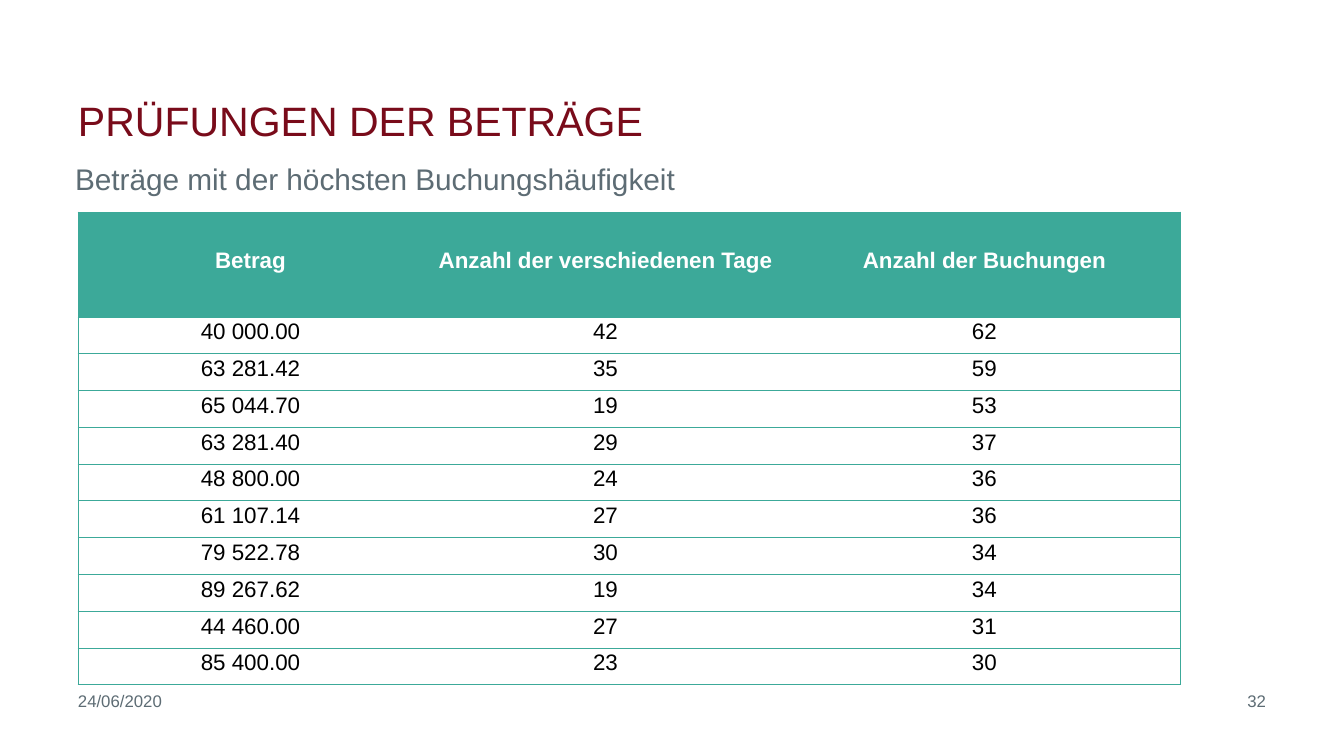
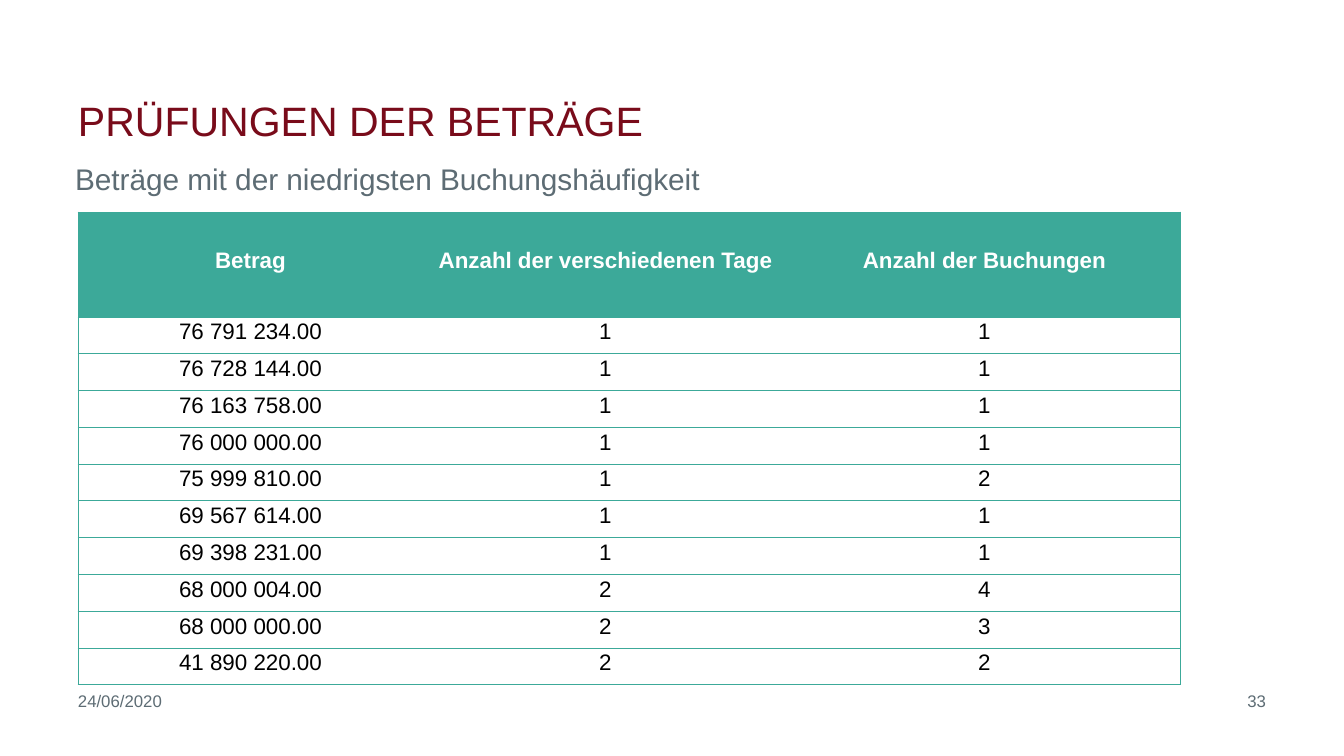
from pptx import Presentation
from pptx.dml.color import RGBColor
from pptx.enum.text import MSO_ANCHOR, MSO_AUTO_SIZE, PP_ALIGN
from pptx.oxml.ns import qn
from pptx.util import Pt
from lxml import etree

LEFT, MID, RIGHT = PP_ALIGN.LEFT, PP_ALIGN.CENTER, PP_ALIGN.RIGHT
TOP, CENTER, BOTTOM = MSO_ANCHOR.TOP, MSO_ANCHOR.MIDDLE, MSO_ANCHOR.BOTTOM
FIXED = MSO_AUTO_SIZE.NONE
FONT = "Arial"
HUES = {"title": "790B1A", "gray": "5D6C74", "teal": "3CA999",
        "white": "FFFFFF", "black": "000000"}
WIDE, HIGH = 1344, 756

TITLE_BOX = (78, 39, 922, 106)
SUB_BOX = (75, 161, 1187, 32)
TABLE_BOX = (78, 212, 1103, 473)
DATE_BOX = (78, 691, 280, 25)
PAGE_BOX = (998, 691, 268, 25)

TITLE = "PRÜFUNGEN DER BETRÄGE"
DATE = "24/06/2020"
COLS = (345, 365, 393)
HEAD_HIGH = 105
HEADS = ("Betrag", "Anzahl der verschiedenen Tage", "Anzahl der Buchungen")
PAGES = [
    (32, "Beträge mit der höchsten Buchungshäufigkeit", [
        ("40 000.00", 42, 62), ("63 281.42", 35, 59), ("65 044.70", 19, 53),
        ("63 281.40", 29, 37), ("48 800.00", 24, 36), ("61 107.14", 27, 36),
        ("79 522.78", 30, 34), ("89 267.62", 19, 34), ("44 460.00", 27, 31),
        ("85 400.00", 23, 30)]),
    (33, "Beträge mit der niedrigsten Buchungshäufigkeit", [
        ("76 791 234.00", 1, 1), ("76 728 144.00", 1, 1),
        ("76 163 758.00", 1, 1), ("76 000 000.00", 1, 1),
        ("75 999 810.00", 1, 2), ("69 567 614.00", 1, 1),
        ("69 398 231.00", 1, 1), ("68 000 004.00", 2, 4),
        ("68 000 000.00", 2, 3), ("41 890 220.00", 2, 2)]),
]


def px(n):
    return round(n * 914400 / 100.8)


def style(frame, size, hue, align=LEFT, bold=False):
    para = frame.paragraphs[0]
    para.alignment = align
    font = para.runs[0].font
    font.name, font.size, font.bold = FONT, Pt(size), bold
    font.color.rgb = RGBColor.from_string(HUES[hue])
    return para


def write(shape, box, text, size, hue, align=LEFT, anchor=TOP):
    shape.left, shape.top, shape.width, shape.height = map(px, box)
    frame = shape.text_frame
    frame.text = text
    frame.word_wrap = True
    frame.auto_size = FIXED
    frame.vertical_anchor = anchor
    frame.margin_left = frame.margin_right = 0
    frame.margin_top = frame.margin_bottom = 0
    return style(frame, size, hue, align)


def edge(cell, sides):
    props = cell._tc.get_or_add_tcPr()
    for side in "LRTB":
        line = etree.SubElement(props, qn(f"a:ln{side}"), w=str(Pt(0.75)))
        if side in sides:
            fill = etree.SubElement(line, qn("a:solidFill"))
            etree.SubElement(fill, qn("a:srgbClr"), val=HUES["teal"])
        else:
            etree.SubElement(line, qn("a:noFill"))


def fill_cell(cell, text, sides, head):
    cell.text = str(text)
    cell.vertical_anchor = CENTER
    cell.margin_left = cell.margin_right = px(7)
    cell.margin_top = cell.margin_bottom = 0
    para = style(cell.text_frame, 16, "white" if head else "black", MID, head)
    para.line_spacing = Pt(13)
    edge(cell, sides)
    cell.fill.solid()
    cell.fill.fore_color.rgb = RGBColor.from_string(
        HUES["teal" if head else "white"])


def add_grid(slide, box, rows):
    data = [HEADS, *rows]
    last = len(COLS) - 1
    table = slide.shapes.add_table(
        len(data), len(COLS), *map(px, box)).table
    table.horz_banding = False
    for col, width in zip(table.columns, COLS):
        col.width = px(width)
    step = (box[3] - HEAD_HIGH) / len(rows)
    for r, row in enumerate(data):
        table.rows[r].height = px(step if r else HEAD_HIGH)
        for c, text in enumerate(row):
            sides = "TB" + "L" * (c == 0) + "R" * (c == last)
            fill_cell(table.cell(r, c), text, sides, r == 0)


def add_foot(slide, page):
    for box, text, align in ((PAGE_BOX, str(page), RIGHT),
                             (DATE_BOX, DATE, LEFT)):
        shape = slide.shapes.add_textbox(*map(px, box))
        write(shape, box, text, 12, "gray", align)


def add_page(deck, page, sub, rows):
    slide = deck.slides.add_slide(deck.slide_layouts[0])
    write(slide.shapes.title, TITLE_BOX, TITLE, 29.3, "title", anchor=BOTTOM)
    para = write(slide.placeholders[1], SUB_BOX, sub, 21.3, "gray")
    para.space_before = Pt(5.3)
    add_foot(slide, page)
    add_grid(slide, TABLE_BOX, rows)


def main():
    deck = Presentation()
    deck.slide_width, deck.slide_height = px(WIDE), px(HIGH)
    for page in PAGES:
        add_page(deck, *page)
    deck.save("out.pptx")


if __name__ == "__main__":
    main()
